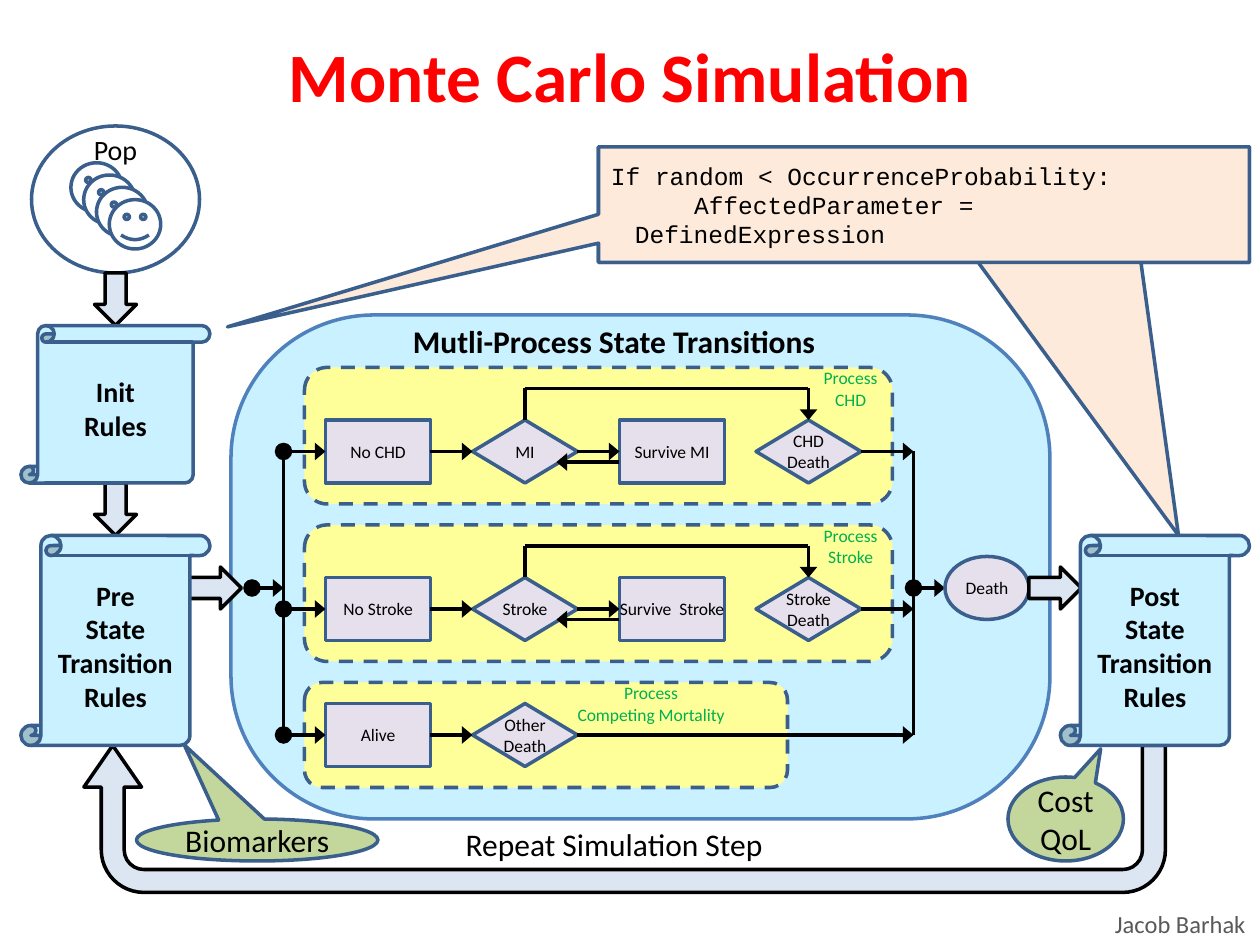
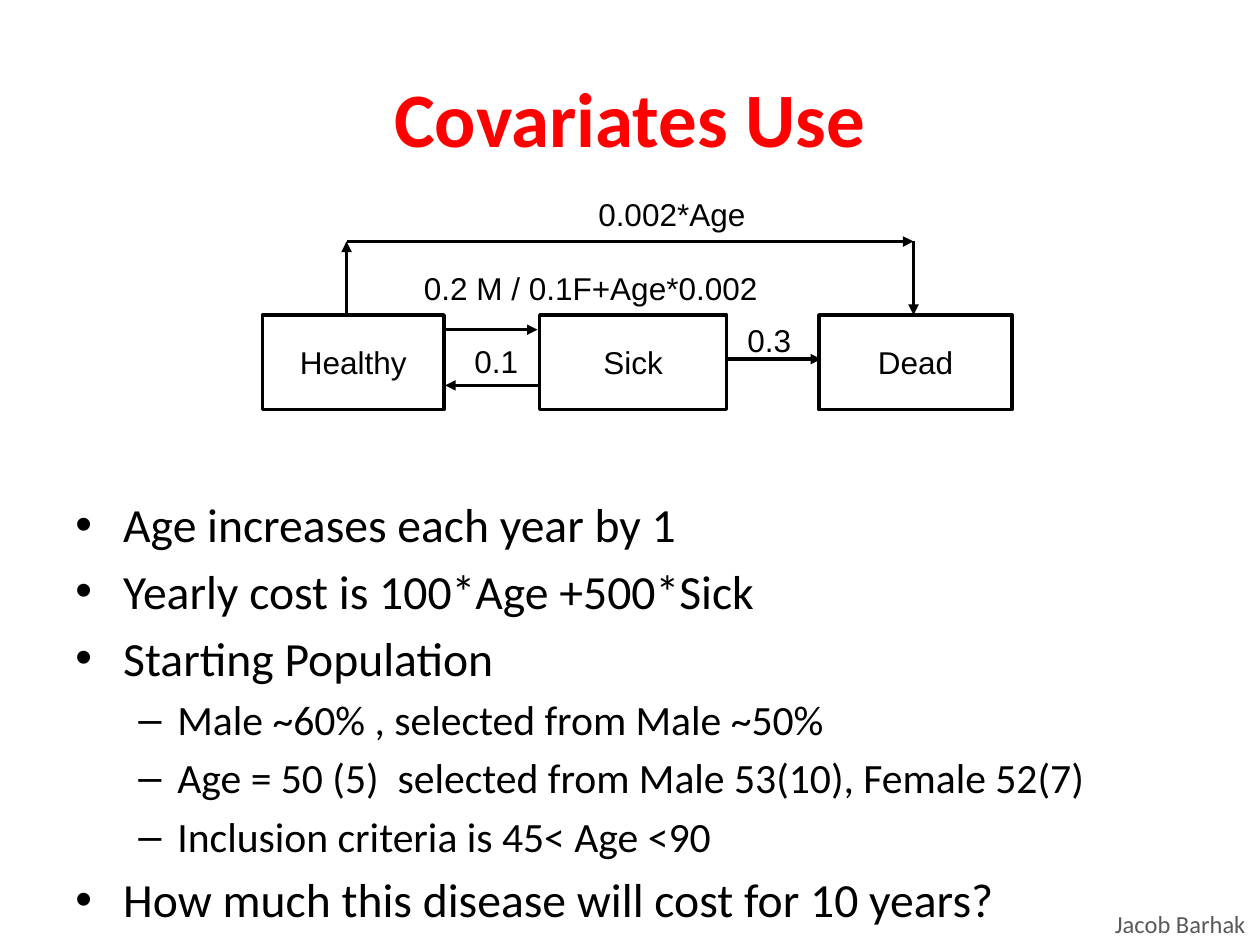
from lxml import etree
from pptx import Presentation
from pptx import util as u
from pptx.dml.color import RGBColor
from pptx.enum import dml, shapes, text
from pptx.oxml.ns import qn

# ---- Shared look: everything sits on a grid of 120 columns by 90 rows ----
COLUMNS, ROWS = 120, 90
COLOURS = {
    "title": "FF0000", "footer": "595959", "ink": "000000", "paper": "FFFFFF",
    "outline": "3A5F8C", "frame": "4F81BD", "sky": "C9F1FF", "process": "FFFF99",
    "state": "E6E0EC", "label": "00B050", "flow": "DCE6F2", "code": "FDEADA",
    "outcome": "C3D69B",
}
FOOTER = "Jacob Barhak"
KIND = shapes.MSO_SHAPE
ALIGN, ANCHOR = text.PP_ALIGN, text.MSO_ANCHOR

# ---- Content of slide 1 ----
POPULATION = "Pop"
TRANSITIONS_TITLE = "Mutli-Process State Transitions"
REPEAT = "Repeat Simulation Step"
# label lines, label box, panel box, first row of the states, states
PROCESSES = [
    (["Process", "CHD"], (76, 35, 10, 4), (29, 35, 56, 13), 40,
     ["No CHD", "MI", "Survive MI", "CHD Death"]),
    (["Process", "Stroke"], (76, 50, 10, 4), (29, 50, 56, 13), 55,
     ["No Stroke", "Stroke", "Survive  Stroke", "Stroke Death"]),
    (["Process", "Competing Mortality"], (51, 65, 22, 4), (29, 65, 46, 10), 67,
     ["Alive", "Other Death"]),
]
STATE_COLUMNS = [31, 45, 59, 72]
STATE_W, STATE_H = 10, 6
ENTRY, EXIT, MIDDLE = 27, 87, 56
RULES = [
    (["Init", "Rules"], (2, 31, 18, 15)),
    (["Pre", "State Transition Rules"], (2, 51, 18, 20)),
    (["Post", "State Transition Rules"], (101, 51, 18, 20)),
]
FLOW_ARROWS = [((8.5, 26.5, 5, 4), 90), ((8.5, 46.5, 5, 4), 90),
               ((98, 54, 5, 4), 0), ((18, 54, 5, 4), 0)]
OUTCOMES = [("Cost QoL", (96, 74, 11, 8), (0.303, -0.836)),
            ("Biomarkers", (13, 78, 23, 4), (-0.302, -2.266))]
RULE_CODE = ["If random < OccurrenceProbability:",
             "AffectedParameter = DefinedExpression"]
CODE_POINTERS = [(0.391, 2.864), (-1.07, 1.058)]

# ---- Content of slide 2 ----
STATES = [("Healthy", 25, 17.3), ("Sick", 51.4, 17.8), ("Dead", 78, 18.4)]
STATE_ROW, STATE_ROWS = 30, 9
RATES = [("0.2 M / 0.1F+Age*0.002", (39.2, 25, 36, 4.8)),
         ("0.3", (70, 30, 13.2, 4.8)),
         ("0.1", (44, 32, 13.2, 4.8)),
         ("0.002*Age", (55.8, 18, 17, 4.8))]
MOVES = [((42.4, 31.4), (51.2, 31.4)), ((69.2, 34.2), (78.2, 34.2)),
         ((51.4, 36.7), (42.4, 36.7)), ((33, 23), (87, 23)),
         ((87, 23), (87, 30)), ((33, 30), (33, 23))]
POINTS = [
    (0, "Age increases each year by 1"),
    (0, "Yearly cost is 100*Age +500*Sick"),
    (0, "Starting Population"),
    (1, "Male ~60% , selected from Male ~50%"),
    (1, "Age = 50 (5)  selected from Male 53(10), Female 52(7)"),
    (1, "Inclusion criteria is 45< Age <90"),
    (0, "How much this disease will cost for 10 years?"),
]
# bullet, size, left margin, hanging indent
POINT_LEVELS = [("\u2022", 27.2, 0.38, -0.38), ("\u2013", 23.8, 0.81, -0.31)]

deck = Presentation()
deck.slide_width, deck.slide_height = u.Inches(10), u.Inches(7.5)


# ---- Helpers ----
def colour(name):
    return RGBColor.from_string(COLOURS[name])


def across(column):
    return round(deck.slide_width * column / COLUMNS)


def down(row):
    return round(deck.slide_height * row / ROWS)


def place(box):
    left, top, width, height = box
    return across(left), down(top), across(width), down(height)


def write(holder, lines, size, ink="ink", font="Calibri", bold=False,
          align=ALIGN.CENTER, anchor=ANCHOR.MIDDLE, insets=(0.1, 0.05, 0.1, 0.05)):
    frame = holder.text_frame
    frame.text = "\n".join(lines)
    frame.word_wrap = True
    frame.vertical_anchor = anchor
    (frame.margin_left, frame.margin_top,
     frame.margin_right, frame.margin_bottom) = map(u.Inches, insets)
    for paragraph in frame.paragraphs:
        paragraph.alignment = align
        for run in paragraph.runs:
            run.font.size, run.font.name, run.font.bold = u.Pt(size), font, bold
            run.font.color.rgb = colour(ink)
    return frame


def label(slide, box, lines, size, **style):
    return write(slide.shapes.add_textbox(*place(box)), lines, size, **style)


def draw(slide, kind, box, fill, line="outline", adjust=(), dashed=False):
    shape = slide.shapes.add_shape(kind, *place(box))
    shape.shadow.inherit = False
    shape.fill.solid()
    shape.fill.fore_color.rgb = colour(fill)
    shape.line.color.rgb = colour(line)
    shape.line.width = u.Pt(2)
    if dashed:
        shape.line.dash_style = dml.MSO_LINE.DASH
    for index, value in enumerate(adjust):
        shape.adjustments[index] = value
    return shape


def connect(slide, start, end, arrow=True, dot=False, width="lg"):
    line = slide.shapes.add_connector(shapes.MSO_CONNECTOR.STRAIGHT, across(start[0]),
                                      down(start[1]), across(end[0]), down(end[1]))
    line.line.color.rgb = colour("ink")
    line.line.width = u.Pt(2)
    outline = line.line._get_or_add_ln()
    if dot:
        etree.SubElement(outline, qn("a:headEnd"), type="oval", w="lg", len="lg")
    if arrow:
        etree.SubElement(outline, qn("a:tailEnd"), type="triangle", w=width, len="med")
    etree.SubElement(line._element.spPr, qn("a:effectLst"))


def indent(paragraph, margin, first):
    properties = paragraph._p.get_or_add_pPr()
    properties.set("marL", str(u.Inches(margin)))
    properties.set("indent", str(u.Inches(first)))
    return properties


def new_slide(title, size, bottom_inset=0.05):
    slide = deck.slides.add_slide(deck.slide_layouts[6])
    label(slide, (105, 86, 15, 4), [FOOTER], 14, ink="footer", align=ALIGN.LEFT,
          anchor=ANCHOR.TOP, insets=(0.1, 0.05, 0, 0.05))
    label(slide, (6, 3.6, 108, 15), [title], size, ink="title", bold=True,
          insets=(0.1, 0.05, 0.1, bottom_inset))
    return slide


def code_callout(slide, pointer):
    callout = draw(slide, KIND.RECTANGULAR_CALLOUT, (57, 14, 62, 11), "code",
                   adjust=pointer)
    frame = write(callout, RULE_CODE, 14, font="Courier New", align=ALIGN.LEFT)
    indent(frame.paragraphs[1], 0.19, 0.47)


# ---- Slide 1: simulation flow ----
flow = new_slide("Monte Carlo Simulation", 39.6, bottom_inset=0.72)

# Loop back and population
loop = draw(flow, KIND.U_TURN_ARROW, (8, 71, 103, 14), "flow", "ink",
            (0.156, 0.196, 0.283, 0.29, 1))
for flip in ("flipH", "flipV"):
    loop._element.spPr.xfrm.set(flip, "1")
draw(flow, KIND.OVAL, (3, 12, 16, 14), "paper")
label(flow, (5, 12, 12, 4.4), [POPULATION], 16)
for person in range(4):
    draw(flow, KIND.SMILEY_FACE,
         (6.75 + 1.22 * person, 15.5 + 1.17 * person, 4.9, 4.7), "paper")

# Processes with their states
draw(flow, KIND.ROUNDED_RECTANGLE, (22, 30, 78, 48), "sky", "frame", (0.284,))
tight = (0, 0.05, 0, 0.05)
for name, name_box, panel, row, states in PROCESSES:
    draw(flow, KIND.ROUNDED_RECTANGLE, panel, "process", dashed=True)
    for index, (state, column) in enumerate(zip(states, STATE_COLUMNS)):
        kind = KIND.FLOWCHART_DECISION if index % 2 else KIND.RECTANGLE
        node = draw(flow, kind, (column, row, STATE_W, STATE_H), "state")
        write(node, [state], 10, insets=tight)
    middle = row + STATE_H / 2
    first, event, survive, death = STATE_COLUMNS
    connect(flow, (ENTRY, middle), (first, middle), dot=True)
    connect(flow, (first + STATE_W, middle), (event, middle))
    if len(states) == 4:
        above, event_x, death_x = row - 3, event + STATE_W / 2, death + STATE_W / 2
        connect(flow, (event + STATE_W, middle), (survive, middle))
        connect(flow, (survive, middle + 1), (survive - 6, middle + 1))
        connect(flow, (event_x, row), (event_x, above), arrow=False)
        connect(flow, (event_x, above), (death_x, above), arrow=False)
        connect(flow, (death_x, above), (death_x, row))
    last = STATE_COLUMNS[len(states) - 1] + STATE_W
    connect(flow, (last, middle), (EXIT, middle))
    label(flow, name_box, name, 10, ink="label", insets=tight)

# Entry and exit trunks
top, bottom = (PROCESSES[i][3] + STATE_H / 2 for i in (0, -1))
for trunk in (ENTRY, EXIT):
    connect(flow, (trunk, top), (trunk, bottom), arrow=False)
for start in (ENTRY - 3, EXIT):
    connect(flow, (start, MIDDLE), (start + 3, MIDDLE), dot=True)
write(draw(flow, KIND.OVAL, (90, 53, 8, 6), "state"), ["Death"], 10, insets=tight)
label(flow, (32, 30.1, 53, 4.8), [TRANSITIONS_TITLE], 18, bold=True, anchor=ANCHOR.TOP)
label(flow, (32, 78, 53, 4.8), [REPEAT], 18, anchor=ANCHOR.TOP)

# Rules, outcomes and the code that drives them
code_callout(flow, CODE_POINTERS[0])
for words, box, pointer in OUTCOMES:
    write(draw(flow, KIND.OVAL_CALLOUT, box, "outcome", adjust=pointer), [words], 18)
for box, turn in FLOW_ARROWS:
    draw(flow, KIND.RIGHT_ARROW, box, "flow", "ink").rotation = turn
for lines, box in RULES:
    scroll = draw(flow, KIND.VERTICAL_SCROLL, box, "sky", adjust=(0.106,))
    write(scroll, lines, 16, bold=True)
code_callout(flow, CODE_POINTERS[1])

# ---- Slide 2: covariates ----
covariates = new_slide("Covariates Use", 44)

# Bullet points, below the diagram
body = label(covariates, (6, 21, 108, 59.4), [words for _, words in POINTS], 27.2,
             align=ALIGN.LEFT, anchor=ANCHOR.TOP, insets=(0.1, 2.18, 0.1, 0.05))
for paragraph, (level, _) in zip(body.paragraphs, POINTS):
    bullet, size, margin, hanging = POINT_LEVELS[level]
    paragraph.level = level
    paragraph.space_before = u.Pt(0.2 * size)
    paragraph.runs[0].font.size = u.Pt(size)
    properties = indent(paragraph, margin, hanging)
    etree.SubElement(properties, qn("a:buFont"), typeface="Arial")
    etree.SubElement(properties, qn("a:buChar"), char=bullet)

# State diagram
for state, column, width in STATES:
    node = draw(covariates, KIND.RECTANGLE, (column, STATE_ROW, width, STATE_ROWS),
                "paper", "ink")
    write(node, [state], 18, font="Arial")
for rate, box in RATES:
    label(covariates, box, [rate], 18, font="Arial", align=ALIGN.LEFT,
          anchor=ANCHOR.TOP)
for start, end in MOVES:
    connect(covariates, start, end, width="med")

deck.save("out.pptx")
